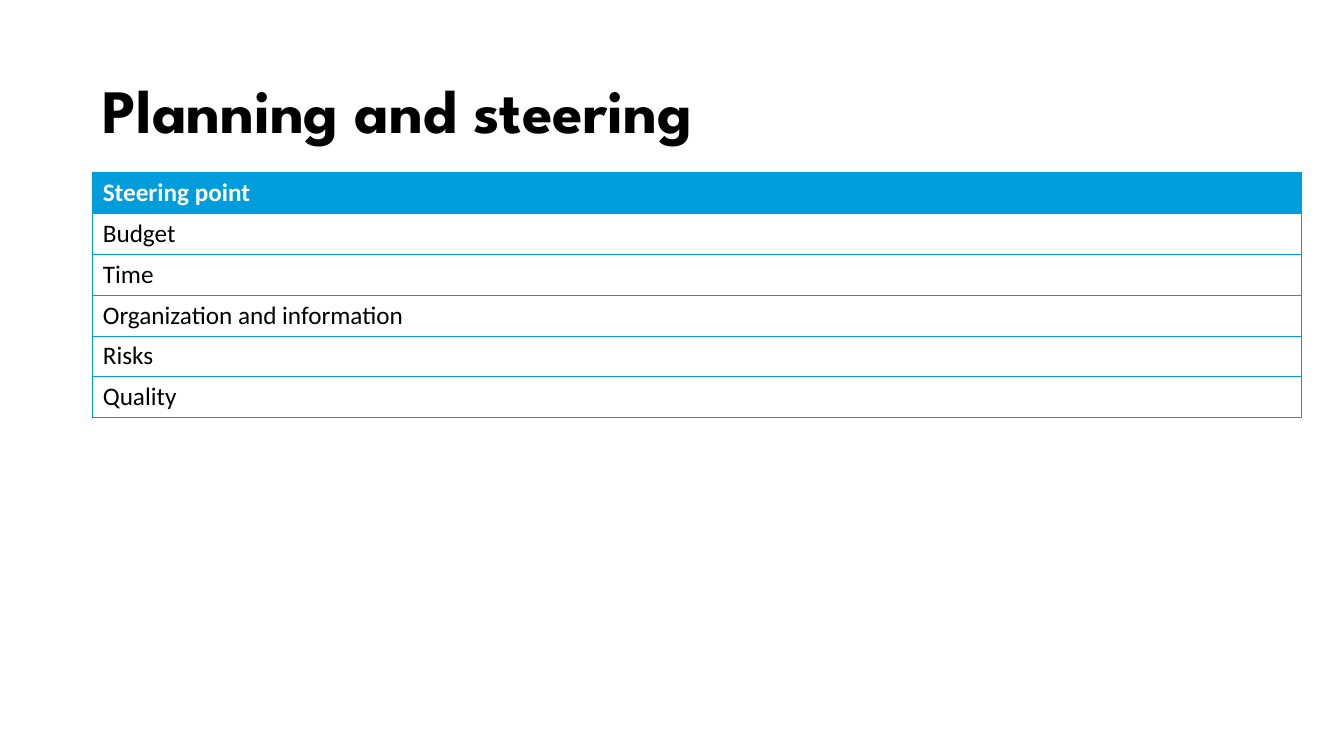
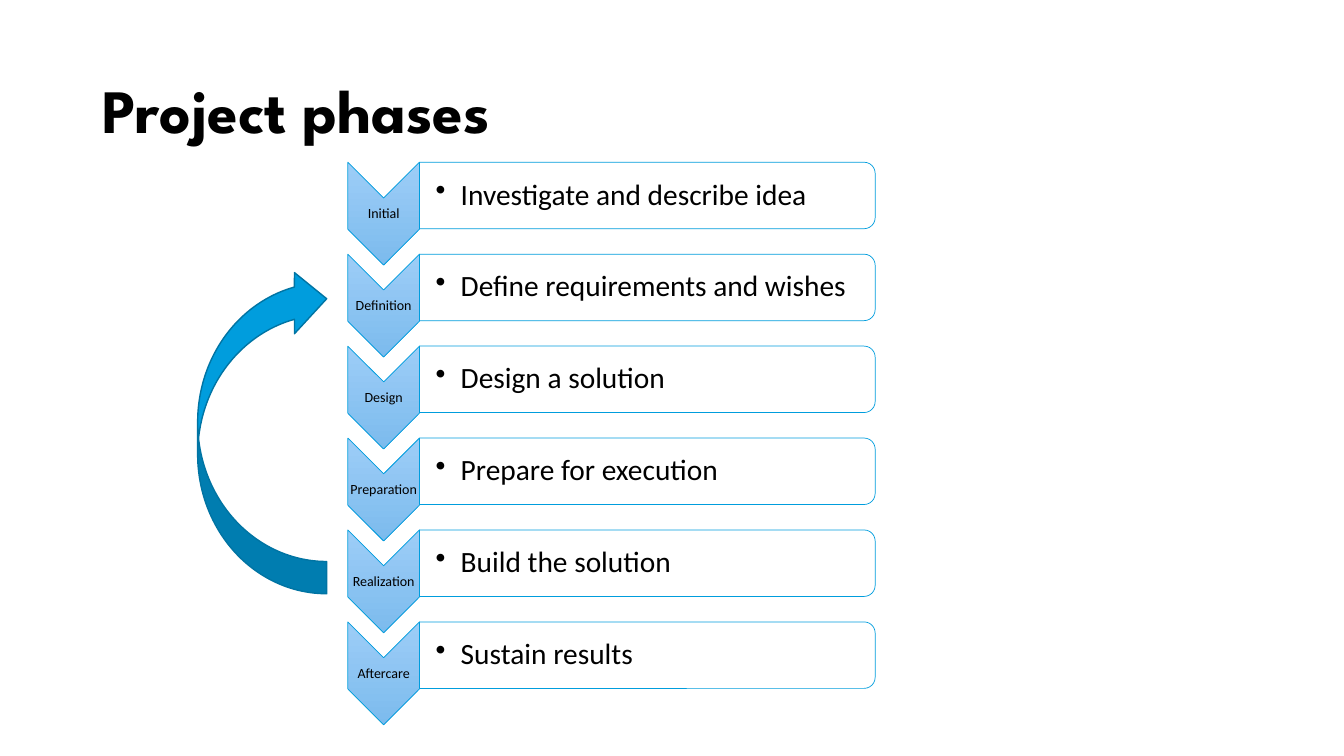
from lxml import etree
from pptx import Presentation
from pptx.dml.color import RGBColor
from pptx.enum import shapes, text
from pptx.oxml import ns
from pptx.util import Inches, Pt

BLUE = RGBColor(0x00, 0x9D, 0xDD)
DARK_BLUE = RGBColor(0x00, 0x74, 0xA3)
CHEVRON_TOP = RGBColor(0x9D, 0xCD, 0xF7)
CHEVRON_BOTTOM = RGBColor(0x7C, 0xBB, 0xED)
BLACK = RGBColor(0, 0, 0)
WHITE = RGBColor(255, 255, 255)
TITLE_FONT = "League Spartan"
BODY_FONT = "Calibri"
NO_TABLE_STYLE = "{2D5ABB26-0587-4C30-8999-92F81FD0307C}"

STEERING_POINTS = ["Steering point", "Budget", "Time", "Organization and information", "Risks", "Quality"]
COLUMN_WIDTHS = [3.43, 4.48, 4.08]
ROW_HEIGHT = 0.405
PHASES = [
    ("Initial", "Investigate and describe idea"),
    ("Definition", "Define requirements and wishes"),
    ("Design", "Design a solution"),
    ("Preparation", "Prepare for execution"),
    ("Realization", "Build the solution"),
    ("Aftercare", "Sustain results"),
]
PHASE_TOP, PHASE_PITCH = 1.61, 0.912
CHEVRON_LEFT, CHEVRON_WIDTH, CHEVRON_HEIGHT = 3.45, 0.71, 1.02
BAR_LEFT, BAR_WIDTH, BAR_HEIGHT = 4.16, 4.52, 0.66


def style_font(font, name, size, color, bold=False):
    font.name, font.size, font.bold = name, Pt(size), bold
    font.color.rgb = color


def add_titled_slide(presentation, title):
    slide = presentation.slides.add_slide(presentation.slide_layouts[5])
    shape = slide.shapes.title
    shape.left, shape.top, shape.width, shape.height = map(Inches, (0.92, 0.4, 11.5, 1.45))
    shape.text_frame.text = title
    shape.text_frame.vertical_anchor = text.MSO_ANCHOR.MIDDLE
    paragraph = shape.text_frame.paragraphs[0]
    paragraph.alignment = text.PP_ALIGN.LEFT
    paragraph.line_spacing = 0.9
    style_font(paragraph.font, TITLE_FONT, 44, BLACK, True)
    return slide


def set_borders(cell, sides):
    properties = cell._tc.get_or_add_tcPr()
    for position, side in enumerate(sides):
        line = etree.Element(ns.qn(f"a:ln{side}"), w=str(Pt(0.5)))
        fill = etree.SubElement(line, ns.qn("a:solidFill"))
        etree.SubElement(fill, ns.qn("a:srgbClr"), val=str(BLUE))
        properties.insert(position, line)


def add_steering_table(slide):
    row_count, column_count = len(STEERING_POINTS), len(COLUMN_WIDTHS)
    frame = slide.shapes.add_table(
        row_count, column_count, Inches(0.92), Inches(1.71),
        Inches(sum(COLUMN_WIDTHS)), Inches(ROW_HEIGHT * row_count))
    table = frame.table
    table._tbl.tblPr.find(ns.qn("a:tableStyleId")).text = NO_TABLE_STYLE
    for column, width in zip(table.columns, COLUMN_WIDTHS):
        column.width = Inches(width)
    for row_index, label in enumerate(STEERING_POINTS):
        header = row_index == 0
        table.cell(row_index, 0).text = label
        for column_index in range(column_count):
            cell = table.cell(row_index, column_index)
            cell.fill.solid()
            cell.fill.fore_color.rgb = BLUE if header else WHITE
            style_font(cell.text_frame.paragraphs[0].font, BODY_FONT, 18,
                       WHITE if header else BLACK, header)
            left = "L" if column_index == 0 else ""
            right = "R" if column_index == column_count - 1 else ""
            set_borders(cell, left + right + "TB")


def add_outlined_shape(slide, kind, box, rotation, line_color, line_width):
    shape = slide.shapes.add_shape(kind, *map(Inches, box))
    shape.rotation = rotation
    shape.shadow.inherit = False
    shape.line.color.rgb = line_color
    shape.line.width = Pt(line_width)
    return shape


def add_turned_shape(slide, kind, left, top, width, height):
    box = (left + (width - height) / 2, top + (height - width) / 2, height, width)
    return add_outlined_shape(slide, kind, box, 90, BLUE, 0.5)


def add_label(slide, label, box, size, left_inset=0.01):
    frame = slide.shapes.add_textbox(*map(Inches, box)).text_frame
    frame.word_wrap = True
    frame.vertical_anchor = text.MSO_ANCHOR.MIDDLE
    frame.margin_left = Inches(left_inset)
    frame.margin_top = frame.margin_right = frame.margin_bottom = Inches(0.01)
    frame.text = label
    paragraph = frame.paragraphs[0]
    paragraph.line_spacing = 0.9
    style_font(paragraph.font, BODY_FONT, size, BLACK)
    return paragraph


def add_bullet(paragraph):
    properties = paragraph._p.get_or_add_pPr()
    properties.set("marL", str(Inches(0.25)))
    properties.set("indent", str(-Inches(0.25)))
    bullet = etree.Element(ns.qn("a:buChar"), char="•")
    properties.find(ns.qn("a:lnSpc")).addnext(bullet)


def add_phase(slide, top, name, task):
    chevron = add_turned_shape(slide, shapes.MSO_SHAPE.CHEVRON,
                               CHEVRON_LEFT, top, CHEVRON_WIDTH, CHEVRON_HEIGHT)
    chevron.fill.gradient()
    chevron.fill.gradient_angle = 0
    for stop, color in zip(chevron.fill.gradient_stops, (CHEVRON_TOP, CHEVRON_BOTTOM)):
        stop.color.rgb = color
    name_box = (CHEVRON_LEFT, top + 0.36, CHEVRON_WIDTH, 0.31)
    add_label(slide, name, name_box, 10).alignment = text.PP_ALIGN.CENTER

    bar = add_turned_shape(slide, shapes.MSO_SHAPE.ROUND_2_SAME_RECTANGLE,
                           BAR_LEFT, top, BAR_WIDTH, BAR_HEIGHT)
    bar.fill.solid()
    bar.fill.fore_color.rgb = WHITE
    add_bullet(add_label(slide, task, (BAR_LEFT, top + 0.03, 4.49, 0.6), 21, 0.16))


def add_return_arrow(slide):
    arrow = add_outlined_shape(slide, shapes.MSO_SHAPE.CURVED_LEFT_ARROW,
                               (1.96, 2.66, 1.28, 3.23), 180, DARK_BLUE, 1)
    arrow.adjustments[1] = 0.474
    arrow.fill.solid()
    arrow.fill.fore_color.rgb = BLUE


def main():
    presentation = Presentation()
    presentation.slide_width, presentation.slide_height = Inches(13.33), Inches(7.5)
    add_steering_table(add_titled_slide(presentation, "Planning and steering"))
    phases_slide = add_titled_slide(presentation, "Project phases")
    for index, (name, task) in enumerate(PHASES):
        add_phase(phases_slide, PHASE_TOP + index * PHASE_PITCH, name, task)
    add_return_arrow(phases_slide)
    presentation.save("out.pptx")


if __name__ == "__main__":
    main()
